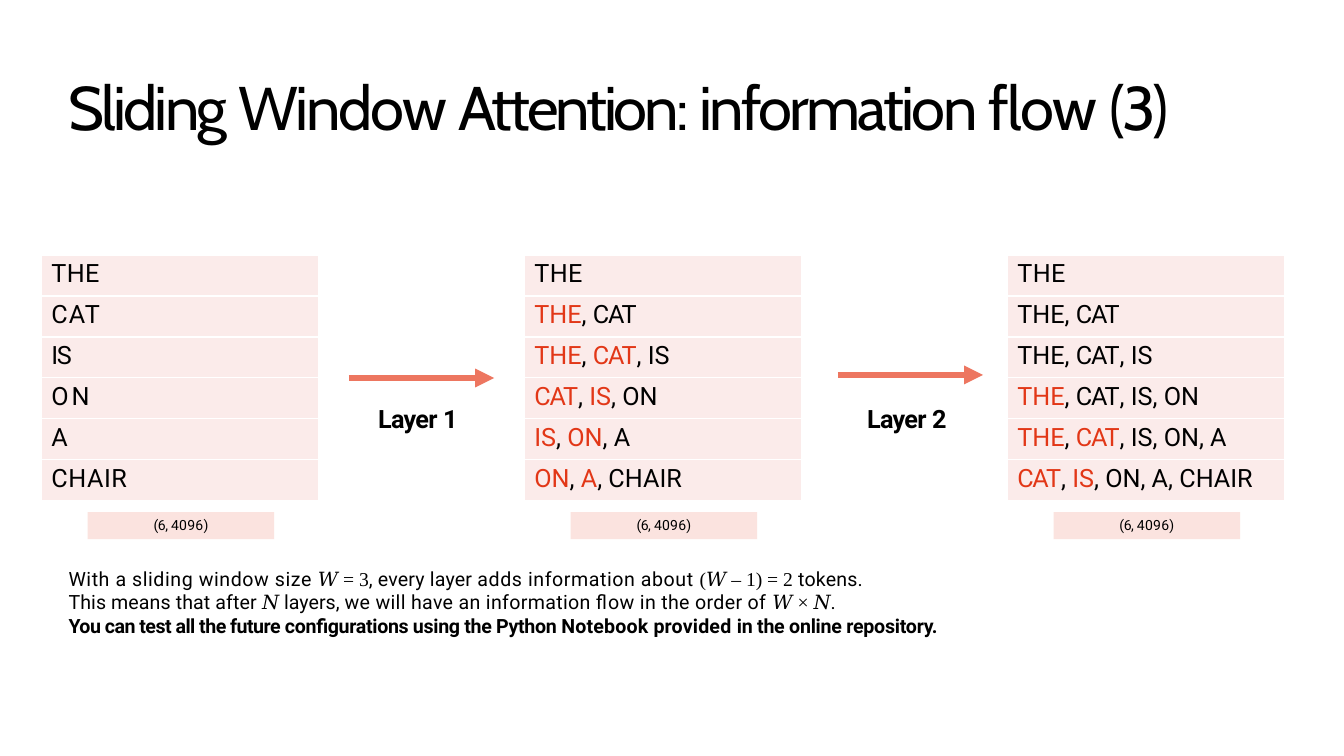
from lxml import etree
from pptx import Presentation
from pptx.dml.color import RGBColor
from pptx.enum.shapes import MSO_CONNECTOR, MSO_SHAPE
from pptx.enum.text import MSO_ANCHOR, MSO_AUTO_SIZE, PP_ALIGN
from pptx.oxml.ns import qn
from pptx.util import Inches, Pt

BLACK = RGBColor(0, 0, 0)
WHITE = RGBColor(0xFF, 0xFF, 0xFF)
RED = RGBColor(0xE2, 0x37, 0x17)
CORAL = RGBColor(0xED, 0x76, 0x60)
PINK = RGBColor(0xFB, 0xEB, 0xEA)
ROSE = RGBColor(0xFB, 0xE3, 0xDF)
LEFT, CENTER = PP_ALIGN.LEFT, PP_ALIGN.CENTER
TOP, NO_FIT = MSO_ANCHOR.TOP, MSO_AUTO_SIZE.NONE
RECT, LINE = MSO_SHAPE.RECTANGLE, MSO_CONNECTOR.STRAIGHT
SANS, SERIF = "Roboto", "Times New Roman"


def add_run(para, text, gap, **form):
    """Add a run with letter spacing gap in points; form holds font values."""
    run = para.add_run()
    run.text = text
    run._r.get_or_add_rPr().set("spc", str(round(gap * 100)))
    look = {"name": SANS, "size": Pt(18), "bold": False} | form
    run.font.color.rgb = look.pop("color", BLACK)
    for key, value in look.items():
        setattr(run.font, key, value)


def set_frame(frame, align, before, top=0.01):
    """Set up a text frame and return its first paragraph."""
    form = {"margin_left": 0, "margin_right": 0, "margin_bottom": 0,
            "margin_top": Inches(top), "word_wrap": True,
            "auto_size": NO_FIT, "vertical_anchor": TOP}
    for key, value in form.items():
        setattr(frame, key, value)
    para = frame.paragraphs[0]
    para.alignment = align
    para.space_before = Pt(before)
    return para


deck = Presentation()
deck.slide_width, deck.slide_height = Inches(13.33), Inches(7.5)
slide = deck.slides.add_slide(deck.slide_layouts[5])
shapes = slide.shapes

# Title
title = shapes.title
title.left, title.top = Inches(0.68), Inches(0.67)
title.width, title.height = Inches(11.27), Inches(0.76)
para = set_frame(title.text_frame, LEFT, 1.1)
for text, gap in [("Sliding ", -2), ("Window ", -1.6), ("Attention: ", -2.2),
                  ("information ", -2), ("flow ", -1.1), ("(3)", -1.9)]:
    add_run(para, text, gap, name="Cabin", size=Pt(44))

# Token tables: each row sees itself and the tokens within reach;
# tokens further back than near are new in this layer
TOKENS = ["THE", "CAT", "IS", "ON", "A", "CHAIR"]
LONE_GAPS = [0.3, 0.8, -1, 2.1, 0, 0.4]
for left, reach, near in [(0.41, 0, 0), (5.2, 2, 0), (9.99, 4, 2)]:
    frame = shapes.add_table(len(TOKENS), 1, Inches(left), Inches(2.53),
                             Inches(2.75), Inches(2.44))
    table = frame.table
    table.first_row = table.horz_banding = False
    for row, token in enumerate(TOKENS):
        cell = table.cell(row, 0)
        cell.margin_left, cell.margin_top = Inches(0.1), Inches(0.04)
        cell.margin_right = cell.margin_bottom = 0
        props = cell._tc.get_or_add_tcPr()
        for side in ("lnL", "lnR", "lnT", "lnB"):
            edge = etree.SubElement(props, qn("a:" + side), w=str(Pt(1)))
            fill = etree.SubElement(edge, qn("a:solidFill"))
            etree.SubElement(fill, qn("a:srgbClr"), val=str(WHITE))
        cell.fill.solid()
        cell.fill.fore_color.rgb = PINK
        para = cell.text_frame.paragraphs[0]
        para.space_before = Pt(2.8)
        first = max(0, row - reach)
        if first == row:
            add_run(para, token, LONE_GAPS[row])
            continue
        for col in range(first, row + 1):
            if col > first:
                add_run(para, ", ", 0)
            word = TOKENS[col]
            add_run(para, word, -0.9 if word == "CAT" else 0,
                    color=RED if col < row - near else BLACK)

    # Shape of the matrix, centred below its table
    tag = shapes.add_shape(RECT, Inches(left + 0.46), Inches(5.08),
                           Inches(1.85), Inches(0.27))
    tag.shadow.inherit = False
    tag.fill.solid()
    tag.fill.fore_color.rgb = ROSE
    tag.line.fill.background()
    para = set_frame(tag.text_frame, CENTER, 3.1, top=0.04)
    for text, gap in [("(6, ", -0.3), ("4096", 0.2), (")", -0.8)]:
        add_run(para, text, gap, size=Pt(10))

# Layer arrows with their labels
for num, left, mid, label in [(1, 3.46, 3.75, 3.75), (2, 8.31, 3.72, 8.6)]:
    arrow = shapes.add_connector(LINE, Inches(left), Inches(mid),
                                 Inches(left + 1.44), Inches(mid))
    arrow.line.color.rgb = CORAL
    arrow.line.width = Pt(4.5)
    etree.SubElement(arrow.line._get_or_add_ln(), qn("a:tailEnd"),
                     type="triangle")
    etree.SubElement(arrow._element.spPr, qn("a:effectLst"))
    box = shapes.add_textbox(Inches(label), Inches(3.99),
                             Inches(0.91), Inches(0.33))
    para = set_frame(box.text_frame, LEFT, 1)
    add_run(para, "Layer ", -0.5, bold=True)
    add_run(para, str(num), 0.1, bold=True)

# Closing notes
NOTES = [
    [("With a sliding window size ", 0.4, SANS), ("𝑊 = 3", 0, SERIF),
     (", every layer ", 0.1, SANS), ("adds information about ", 0.4, SANS),
     ("(𝑊 – 1) = 2 ", 0, SERIF), ("tokens.", 0.1, SANS)],
    [("This means that after ", 0.05, SANS), ("𝑁 ", 0, SERIF),
     ("layers, ", 0, SANS),
     ("we will have an information flow in the order of ", 0.22, SANS),
     ("𝑊 × 𝑁", 0, SERIF), (".", 0, SANS)],
    [("You can test all the future ", -0.4, SANS),
     ("configurations using the Python ", -0.25, SANS),
     ("Notebook provided ", 0.1, SANS),
     ("in the online repository.", -0.2, SANS)],
]
box = shapes.add_textbox(Inches(0.68), Inches(5.61),
                         Inches(9.76), Inches(0.73))
para = set_frame(box.text_frame, LEFT, 1.1)
for index, note in enumerate(NOTES):
    if index:
        para = box.text_frame.add_paragraph()
    for text, gap, face in note:
        add_run(para, text, gap, name=face, size=Pt(14), bold=index == 2)

deck.save("out.pptx")
